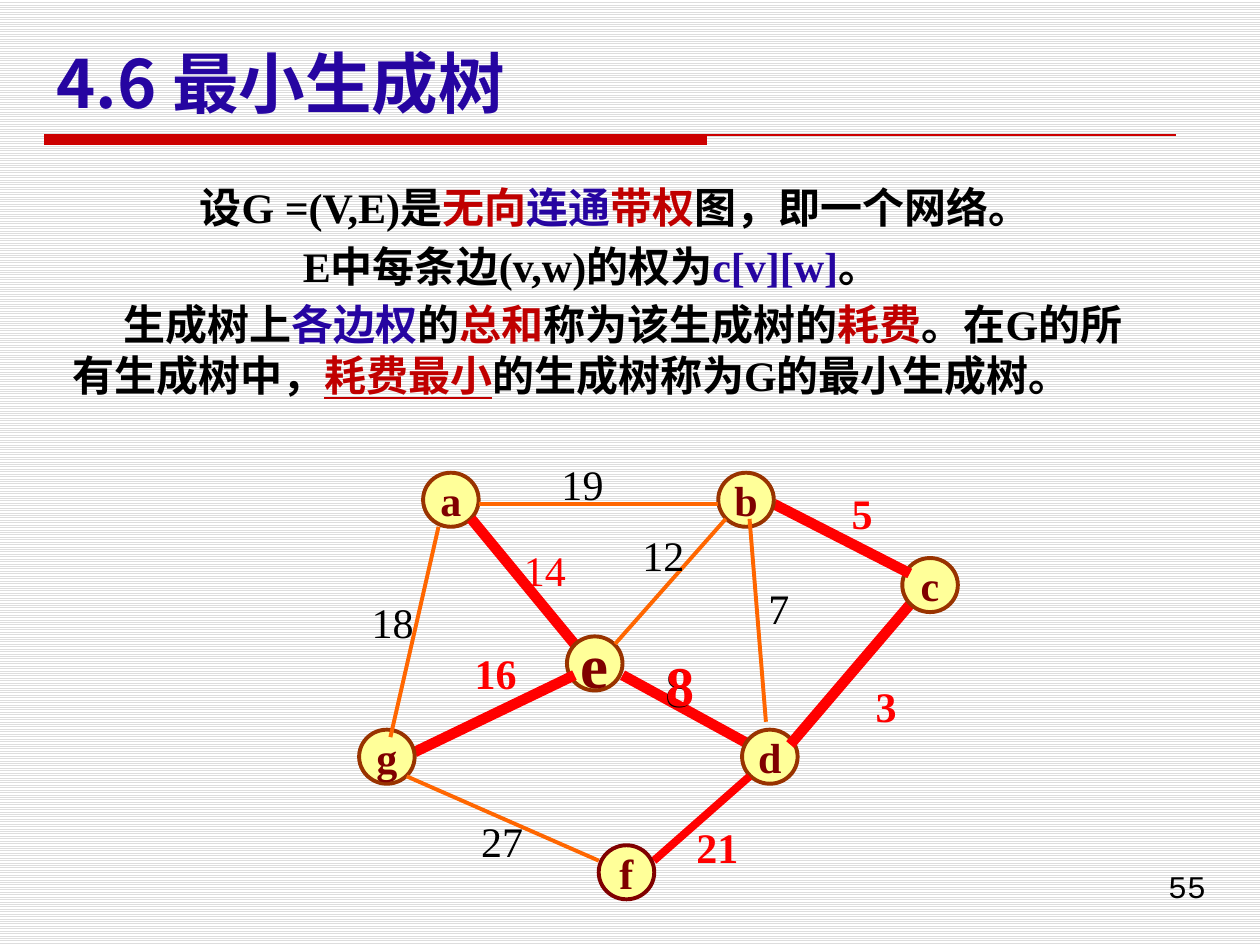
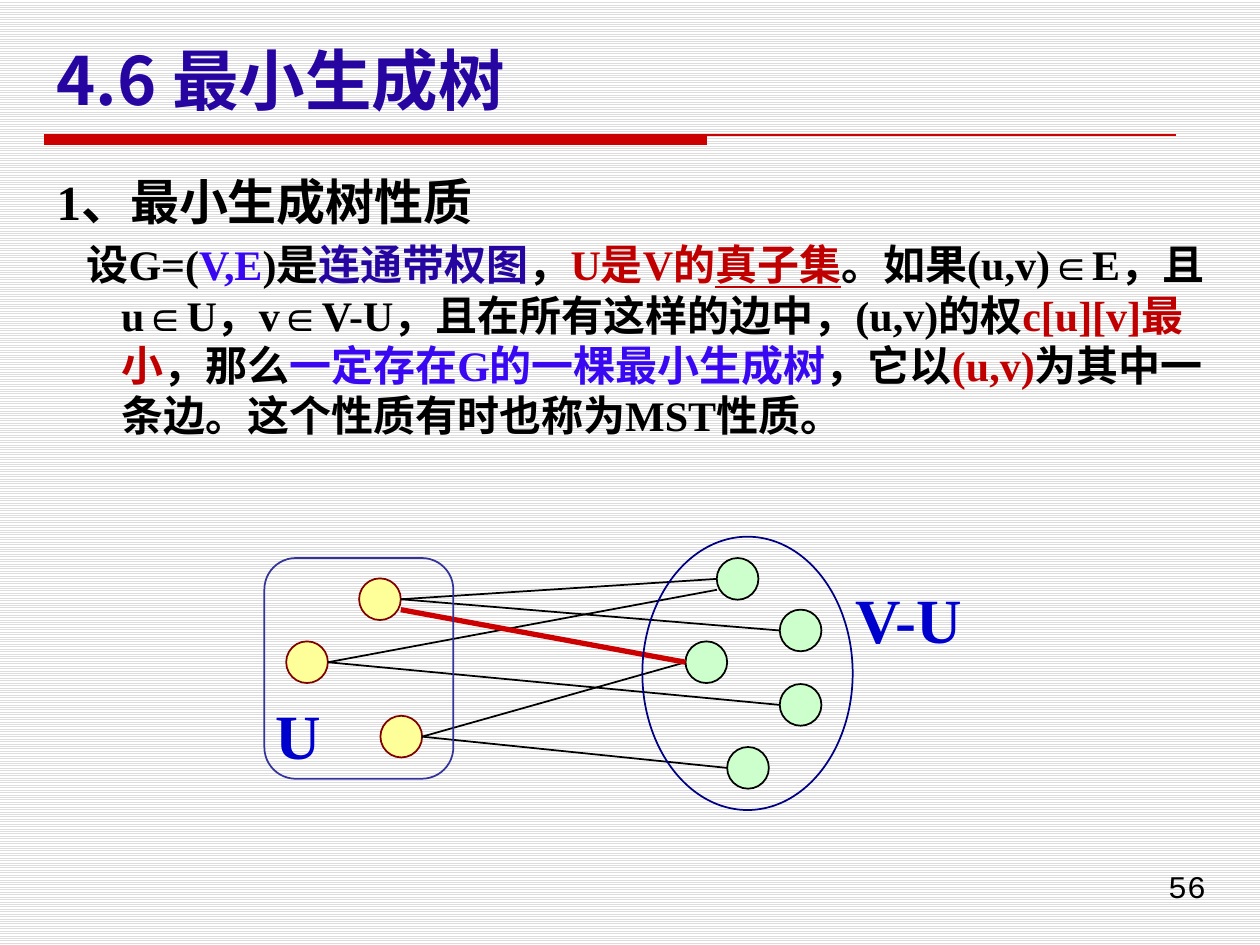
from itertools import zip_longest

from lxml.etree import SubElement
from pptx import Presentation
from pptx.dml.color import RGBColor
from pptx.enum.dml import MSO_PATTERN
from pptx.enum.shapes import MSO_CONNECTOR, MSO_SHAPE
from pptx.enum.text import MSO_ANCHOR, MSO_AUTO_SIZE, PP_ALIGN
from pptx.oxml.ns import qn
from pptx.util import Cm, Pt

COLORS = {
    "black": "000000", "white": "FFFFFF", "stripe": "DDDDDD",
    "indigo": "2605A1", "violet": "3907F1", "crimson": "C00000",
    "band": "CC0000", "red": "FF0000", "orange": "FF6600",
    "yellow": "FFFF99", "brown": "993300", "maroon": "800000",
    "green": "CCFFCC", "set": "333399", "navy": "000082", "blue": "0000CC",
}
SERIF, SANS, MONO = "Times New Roman", "Noto Sans CJK SC", "Courier New"

TITLE = "4.6 最小生成树"

DEFINITION = [
    {"size": 24, "first": 2.57, "runs": [
        ("设G =(V,E)是", "black"), ("无向", "crimson"), ("连通", "indigo"),
        ("带权", "crimson"), ("图，即一个网络。", "black")]},
    {"size": 24, "first": 4.65, "runs": [
        ("E中每条边(v,w)的权为", "black"), ("c[v][w]", "indigo"), ("。", "black")]},
    {"size": 24, "first": 1.04, "runs": [
        ("生成树上", "black"), ("各边权", "indigo"), ("的", "black"),
        ("总和", "crimson"), ("称为该生成树的", "black"), ("耗费", "crimson"),
        ("。在G的所有生成树中，", "black"), ("耗费最小", "crimson", True),
        ("的生成树称为G的最小生成树。", "black")]},
]

PROPERTY = [
    {"size": 28, "first": -1.3, "runs": [("1、最小生成树性质", "black")]},
    {"size": 24, "first": -0.7, "runs": [
        ("设G=(", "black"), ("V,E", "violet"), (")是", "black"),
        ("连通带权图", "indigo"), ("，", "black"), ("U是V的", "crimson"),
        ("真子集", "crimson", True),
        ("。如果(u,v)∈E，且u∈U，v∈V-U，且在所有这样的边中，(u,v)的权", "black"),
        ("c[u][v]最小", "crimson"), ("，那么", "black"),
        ("一定存在G的一棵最小生成树", "violet"), ("，它以", "black"),
        ("(u,v)", "crimson"),
        ("为其中一条边。这个性质有时也称为MST性质。", "black")]},
]

NODE_SIZE = (1.12, 1.09)
NODES = [
    ("a", 8.53, 9.53, 24, "brown"),
    ("e", 11.43, 12.83, 36, "brown"),
    ("d", 14.96, 14.71, 24, "brown"),
    ("c", 18.19, 11.25, 24, "brown"),
    ("b", 14.48, 9.53, 24, "brown"),
    ("g", 7.24, 14.71, 24, "brown"),
    ("f", 12.07, 17.04, 24, "maroon"),
]
TREE_EDGES = [
    ((9.5, 10.46), (11.58, 12.98), 6),
    ((12.55, 13.61), (15.11, 15.01), 6),
    ((18.34, 12.19), (15.93, 15.01), 6),
    ((15.6, 10.16), (18.34, 11.56), 6),
    ((8.36, 15.16), (11.58, 13.61), 6),
    ((15.11, 15.65), (13.18, 17.35), 4.5),
]
OTHER_EDGES = [
    ((8.84, 10.62), (7.87, 14.86)),
    ((9.65, 10.16), (14.48, 10.16)),
    ((14.63, 10.46), (12.4, 12.98)),
    ((15.11, 10.46), (15.44, 14.55)),
    ((8.2, 15.65), (12.07, 17.35)),
]
WEIGHTS = [
    ("19", 11.07, 9.12, 24, "black", False),
    ("18", 7.24, 11.91, 24, "black", False),
    ("27", 9.45, 16.31, 24, "black", False),
    ("8", 13.16, 13, 32, "black", False),
    ("12", 12.7, 10.54, 24, "black", False),
    ("7", 15.24, 11.61, 24, "black", False),
    ("14", 10.31, 10.85, 24, "red", False),
    ("8", 13.18, 12.98, 32, "red", True),
    ("5", 16.92, 9.7, 24, "red", True),
    ("3", 17.4, 13.59, 24, "red", True),
    ("16", 9.32, 12.93, 24, "red", True),
    ("21", 13.79, 16.43, 24, "red", True),
]

VERTEX = 0.84
U_VERTICES = [(7.24, 11.66), (5.77, 12.93), (7.67, 14.43)]
REST_VERTICES = [(14.45, 11.25), (15.72, 12.29), (13.82, 12.93),
                 (15.72, 13.79), (14.66, 15.06)]
CROSSING_EDGES = [
    (0, 0, 0, 0, "black", 1),
    (1, 3, 0, 0, "black", 1),
    (2, 4, 0, 0, "black", 1),
    (2, 2, 0, 0, "black", 1),
    (0, 1, 0, 0, "black", 1),
    (1, 0, 0, 0.22, "black", 1),
    (0, 2, 0.21, 0, "band", 3),
]
SETS = [
    (MSO_SHAPE.ROUNDED_RECTANGLE, (5.33, 11.25, 3.81, 4.45), "set",
     "U", (5.31, 13.92, 1.42, 1.78)),
    (MSO_SHAPE.OVAL, (12.95, 10.82, 4.24, 5.51), "navy",
     "V-U", (16.99, 11.58, 2.97, 1.78)),
]


def color(name):
    return RGBColor.from_string(COLORS[name])


def add_run(paragraph, text, size, color_name, bold=False, font=SERIF, underline=False):
    run = paragraph.add_run()
    run.text = text
    run.font.size = Pt(size)
    run.font.bold = bold
    run.font.underline = underline
    run.font.color.rgb = color(color_name)
    run.font.name = font
    SubElement(run.font._element, qn("a:ea")).set("typeface", SANS)


def add_shape(slide, kind, box, fill, line, width=1):
    shape = slide.shapes.add_shape(kind, *map(Cm, box))
    shape.shadow.inherit = False
    if fill:
        shape.fill.solid()
        shape.fill.fore_color.rgb = color(fill)
    else:
        shape.fill.background()
    if line:
        shape.line.color.rgb = color(line)
        shape.line.width = Pt(width)
    else:
        shape.line.fill.background()
    return shape


def add_line(slide, start, end, color_name, width):
    connector = slide.shapes.add_connector(
        MSO_CONNECTOR.STRAIGHT, *map(Cm, (*start, *end)))
    connector.line.color.rgb = color(color_name)
    connector.line.width = Pt(width)
    SubElement(connector._element.spPr, qn("a:effectLst"))


def add_label(slide, text, box, size, color_name, bold=False, font=SERIF,
              align=PP_ALIGN.LEFT):
    text_box = slide.shapes.add_textbox(*map(Cm, box))
    text_box.text_frame.word_wrap = align == PP_ALIGN.RIGHT
    paragraph = text_box.text_frame.paragraphs[0]
    paragraph.alignment = align
    add_run(paragraph, text, size, color_name, bold, font)


def place(shape, box):
    shape.left, shape.top, shape.width, shape.height = map(Cm, box)
    shape.text_frame.auto_size = MSO_AUTO_SIZE.NONE
    return shape.text_frame


def fill_body(frame, content):
    for index, item in enumerate(content):
        paragraph = frame.add_paragraph() if index else frame.paragraphs[0]
        paragraph.line_spacing = Pt(item["size"] * 1.2)
        paragraph.space_before = Pt(item["size"] * 0.2)
        properties = paragraph._p.get_or_add_pPr()
        properties.set("marL", str(Cm(1.3)))
        properties.set("indent", str(Cm(item["first"])))
        SubElement(properties, qn("a:buNone"))
        for text, color_name, *underline in item["runs"]:
            add_run(paragraph, text, item["size"], color_name, True,
                    underline=bool(underline))


def add_base_slide(presentation, number, title_top, body_box, content):
    slide = presentation.slides.add_slide(presentation.slide_layouts[1])
    add_shape(slide, MSO_SHAPE.RECTANGLE, (0.89, 2.72, 13.36, 0.2), "band", None)
    add_line(slide, (0.89, 2.72), (23.7, 2.72), "band", 0.75)
    frame = place(slide.shapes.title, (0.89, title_top, 23.8, 1.68))
    frame.vertical_anchor = MSO_ANCHOR.BOTTOM
    frame.paragraphs[0].alignment = PP_ALIGN.LEFT
    add_run(frame.paragraphs[0], TITLE, 38, "indigo", True, SANS)
    fill_body(place(slide.placeholders[1], body_box), content)
    add_label(slide, str(number), (18.21, 17.35, 6.35, 1.32), 18, "black",
              font=MONO, align=PP_ALIGN.RIGHT)
    return slide


def add_node(slide, name, left, top, size, line):
    node = add_shape(slide, MSO_SHAPE.OVAL, (left, top, *NODE_SIZE), "yellow", line, 2.25)
    frame = node.text_frame
    frame.word_wrap = False
    frame.vertical_anchor = MSO_ANCHOR.MIDDLE
    frame.paragraphs[0].alignment = PP_ALIGN.CENTER
    add_run(frame.paragraphs[0], name, size, "maroon", True)


def build_network(slide):
    for node, edge in zip_longest(NODES, TREE_EDGES):
        add_node(slide, *node)
        if edge:
            start, end, width = edge
            add_line(slide, start, end, "red", width)
    for start, end in OTHER_EDGES:
        add_line(slide, start, end, "orange", 2.25)
    for text, left, top, size, color_name, bold in WEIGHTS:
        box = (left, top, 0.51 + 0.43 * len(text), 1.27)
        add_label(slide, text, box, size, color_name, bold)


def build_cut(slide):
    for vertices, fill, line in ((U_VERTICES, "yellow", "maroon"),
                                 (REST_VERTICES, "green", "black")):
        for left, top in vertices:
            add_shape(slide, MSO_SHAPE.OVAL, (left, top, VERTEX, VERTEX), fill, line)
    for u, v, start_drop, end_drop, color_name, width in CROSSING_EDGES:
        u_left, u_top = U_VERTICES[u]
        v_left, v_top = REST_VERTICES[v]
        add_line(slide, (u_left + VERTEX, u_top + VERTEX / 2 + start_drop),
                 (v_left, v_top + VERTEX / 2 + end_drop), color_name, width)
    for kind, outline, line, name, label_box in SETS:
        add_shape(slide, kind, outline, None, line)
        add_label(slide, name, label_box, 36, "blue", True)


def main():
    presentation = Presentation()
    presentation.slide_width, presentation.slide_height = Cm(25.4), Cm(19.05)
    background = presentation.slide_master.background.fill
    background.patterned()
    background.pattern = MSO_PATTERN.LIGHT_HORIZONTAL
    background.fore_color.rgb = color("stripe")
    background.back_color.rgb = color("white")
    build_network(add_base_slide(
        presentation, 55, 0.91, (-0.1, 3.53, 23.8, 15.39), DEFINITION))
    build_cut(add_base_slide(
        presentation, 56, 0.84, (0.89, 3.33, 23.8, 15.39), PROPERTY))
    presentation.save("out.pptx")


if __name__ == "__main__":
    main()
